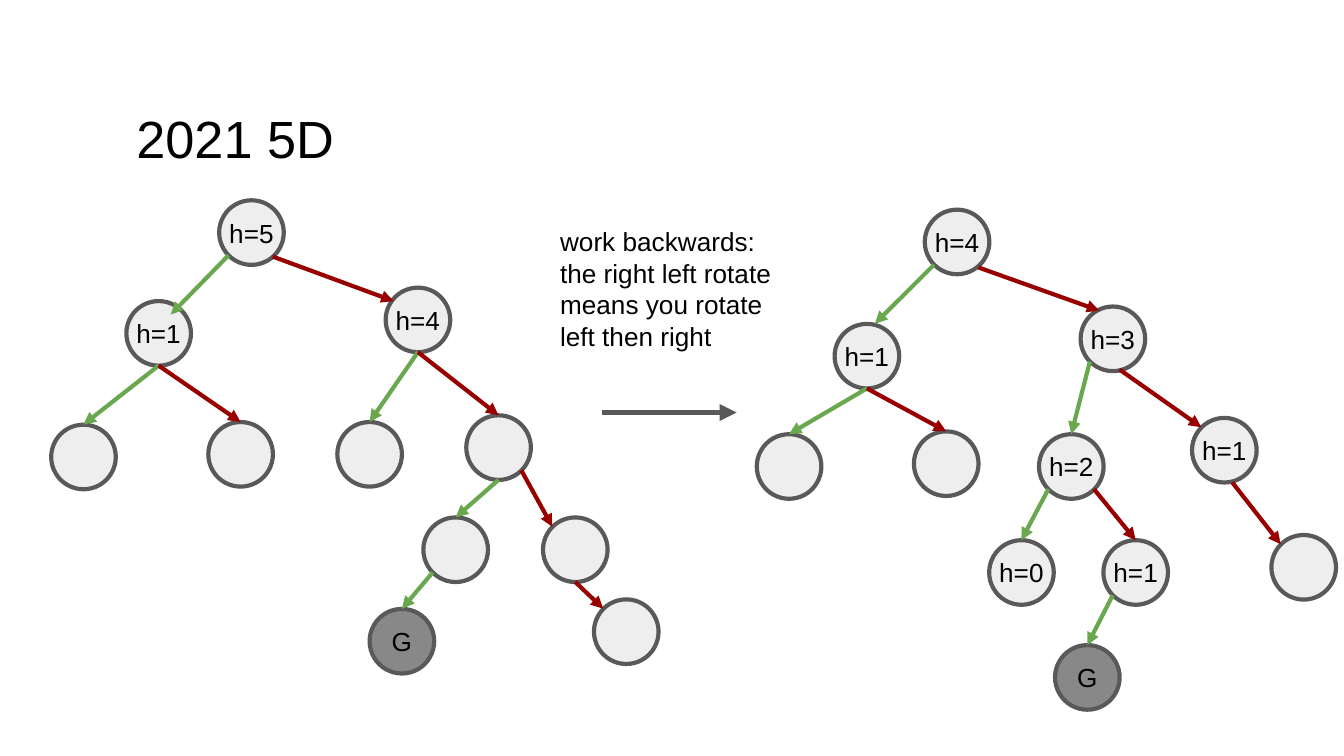
"""Draw a tree rotation worked backwards, with the tree before and after."""
from typing import NamedTuple

from lxml import etree
from pptx import Presentation
from pptx.dml.color import RGBColor
from pptx.enum.shapes import MSO_CONNECTOR, MSO_SHAPE
from pptx.enum.text import MSO_ANCHOR, PP_ALIGN
from pptx.oxml.ns import qn
from pptx.util import Pt

OVAL = MSO_SHAPE.OVAL
STRAIGHT = MSO_CONNECTOR.STRAIGHT
TOP, MIDDLE = MSO_ANCHOR.TOP, MSO_ANCHOR.MIDDLE
LEFT, CENTER = PP_ALIGN.LEFT, PP_ALIGN.CENTER

BLACK, GREY, PALE, DARK = "000000", "595959", "EEEEEE", "888888"
GREEN, RED = "6AA84F", "980000"

Point = tuple[float, float]
SIZE = 34.6
T, B = (SIZE / 2, 0), (SIZE / 2, SIZE)
TL, BL, BR = (5, 5), (5, 29.5), (29.5, 29.5)


class Node(NamedTuple):
    """A circle at its top-left corner."""
    x: float
    y: float
    label: str = ""
    fill: str = PALE


class Edge(NamedTuple):
    """An arrow between offsets inside two nodes."""
    parent: str
    child: str
    color: str
    start: Point = B
    end: Point = T


class Tree(NamedTuple):
    """Nodes by key, with the edges that join them."""
    nodes: dict[str, Node]
    edges: list[Edge]


BEFORE = Tree(
    {
        "root": Node(117.4, 107.3, "h=5"),
        "l": Node(67.7, 161.3, "h=1"),
        "r": Node(206.6, 154.1, "h=4"),
        "ll": Node(27.4, 227.5),
        "lr": Node(111.6, 226.1),
        "rl": Node(180.7, 226.1),
        "rr": Node(249.8, 222.5),
        "rrl": Node(226.8, 277.2),
        "rrr": Node(290.9, 277.2),
        "g": Node(198, 326.2, "G", DARK),
        "rrrr": Node(318.2, 321.1),
    },
    [
        Edge("root", "l", GREEN, BL, (23.8, 7.2)),
        Edge("root", "r", RED, (28.8, 30.2), (4.3, 7.2)),
        Edge("l", "ll", GREEN),
        Edge("l", "lr", RED),
        Edge("r", "rl", GREEN),
        Edge("r", "rr", RED),
        Edge("rr", "rrl", GREEN),
        Edge("rr", "rrr", RED, BR, TL),
        Edge("rrl", "g", GREEN, BL),
        Edge("rrr", "rrrr", RED, B, TL),
    ],
)

AFTER = Tree(
    {
        "root": Node(495.4, 112.3, "h=4"),
        "l": Node(447.1, 173.5, "h=1"),
        "r": Node(578.9, 164.2, "h=3"),
        "ll": Node(405.4, 232.6),
        "lr": Node(489.6, 231.1),
        "rl": Node(556.6, 232.6, "h=2"),
        "rr": Node(638.6, 223.9, "h=1"),
        "rll": Node(529.9, 289.4, "h=0"),
        "rlr": Node(591.1, 289.4, "h=1"),
        "g": Node(565.2, 345.6, "G", DARK),
        "rrr": Node(681.1, 286.6),
    },
    [
        Edge("root", "l", GREEN, BL, (21.6, 0)),
        Edge("root", "r", RED, (28.8, 31), (10, 2.2)),
        Edge("l", "ll", GREEN),
        Edge("l", "lr", RED),
        Edge("r", "rl", GREEN, BL),
        Edge("r", "rr", RED, (20.9, 33.8), TL),
        Edge("rl", "rll", GREEN, BL),
        Edge("rl", "rlr", RED, BR),
        Edge("rlr", "g", GREEN, BL),
        Edge("rr", "rrr", RED, (21.6, 34.6), TL),
    ],
)


def rgb(color: str) -> RGBColor:
    """Turn a hex string into a colour."""
    return RGBColor.from_string(color)


def write(sp, text: str, size: float = 14, align=CENTER, anchor=MIDDLE,
          inset: Point = (0, 0), wrap: bool = True, spacing: float = 1) -> None:
    """Put one formatted paragraph into a shape."""
    tf = sp.text_frame
    dx, dy = (Pt(v) for v in inset)
    frame = {"margin_left": dx, "margin_right": dx, "margin_top": dy,
             "margin_bottom": dy, "vertical_anchor": anchor, "word_wrap": wrap}
    p = tf.paragraphs[0]
    r = p.add_run()
    r.text = text
    formats = [(tf, frame), (p, {"alignment": align, "line_spacing": spacing}),
               (r.font, {"size": Pt(size), "name": "Arial"})]
    for target, values in formats:
        for name, value in values.items():
            setattr(target, name, value)
    r.font.color.rgb = rgb(BLACK)


def add_text(s, box: tuple[float, float, float, float], text: str, **style) -> None:
    """Add a text box."""
    write(s.shapes.add_textbox(*(Pt(v) for v in box)), text, **style)


def add_node(s, node: Node) -> None:
    """Add a circle with its label."""
    sp = s.shapes.add_shape(OVAL, Pt(node.x), Pt(node.y), Pt(SIZE), Pt(SIZE))
    sp.shadow.inherit = False
    sp.fill.solid()
    sp.fill.fore_color.rgb = rgb(node.fill)
    sp.line.color.rgb = rgb(GREY)
    sp.line.width = Pt(2.25)
    if node.label:
        write(sp, node.label, wrap=False)


def add_arrow(s, start: Point, end: Point, color: str, width: float = 2.25) -> None:
    """Add a straight line with a triangle at its end."""
    sp = s.shapes.add_connector(STRAIGHT, *(Pt(v) for v in (*start, *end)))
    sp.line.color.rgb = rgb(color)
    sp.line.width = Pt(width)
    etree.SubElement(sp.line._get_or_add_ln(), qn("a:tailEnd"), type="triangle")
    etree.SubElement(sp._element.spPr, qn("a:effectLst"))


def add_tree(s, tree: Tree) -> None:
    """Add the circles of a tree and then its arrows."""
    for node in tree.nodes.values():
        add_node(s, node)
    for edge in tree.edges:
        a, b = tree.nodes[edge.parent], tree.nodes[edge.child]
        add_arrow(s, (a.x + edge.start[0], a.y + edge.start[1]),
                  (b.x + edge.end[0], b.y + edge.end[1]), edge.color)


def main() -> None:
    """Build and save the slide."""
    prs = Presentation()
    prs.slide_width, prs.slide_height = Pt(720), Pt(405)
    s = prs.slides.add_slide(prs.slide_layouts[6])
    add_text(s, (67.7, 36, 583.2, 79.9), "2021 5D", size=28, align=LEFT,
             inset=(5.4, 2.7), spacing=0.9)
    add_tree(s, AFTER)
    add_arrow(s, (322.6, 221), (394.6, 221), GREY, 3)
    add_tree(s, BEFORE)
    add_text(s, (293, 113.8, 134.6, 82.1),
             "work backwards: the right left rotate means you rotate left then right",
             align=LEFT, anchor=TOP, inset=(7.2, 7.2))
    prs.save("out.pptx")


if __name__ == "__main__":
    main()
